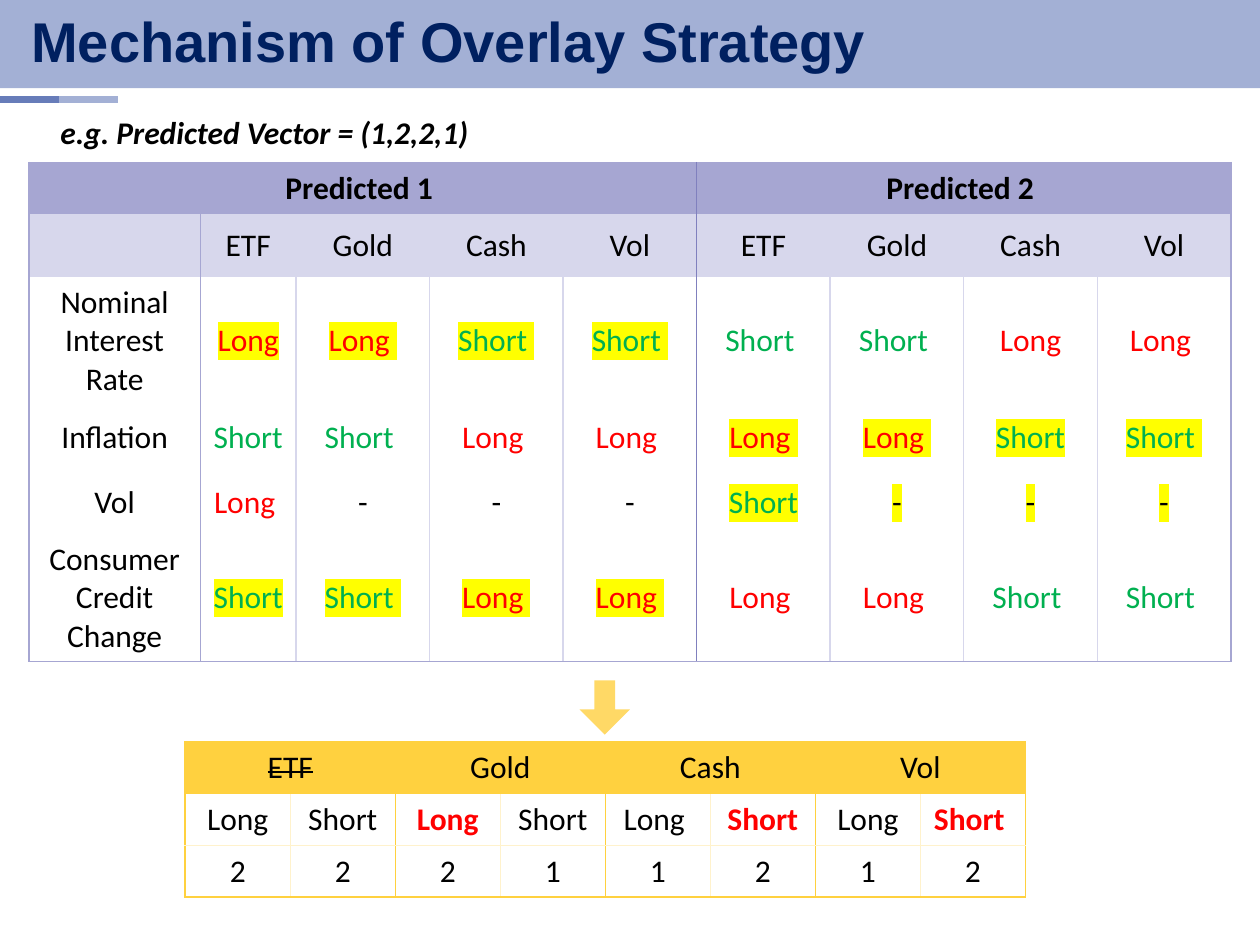
from lxml import etree
from pptx import Presentation
from pptx.dml.color import RGBColor
from pptx.enum.shapes import MSO_CONNECTOR, MSO_SHAPE
from pptx.enum.text import MSO_ANCHOR, PP_ALIGN
from pptx.oxml.ns import qn
from pptx.util import Inches, Pt

BAND = RGBColor(0xA3, 0xB0, 0xD5)
ACCENT = RGBColor(0x67, 0x7C, 0xB9)
NAVY = RGBColor(0x00, 0x20, 0x60)
BLACK = RGBColor(0x00, 0x00, 0x00)
RED = RGBColor(0xFF, 0x00, 0x00)
GREEN = RGBColor(0x00, 0xB0, 0x50)
YELLOW = RGBColor(0xFF, 0xFF, 0x00)
LILAC = RGBColor(0xA6, 0xA6, 0xD2)
PALE_LILAC = RGBColor(0xD7, 0xD7, 0xEC)
VIOLET = RGBColor(0x80, 0x80, 0xBE)
GOLD = RGBColor(0xFF, 0xD1, 0x3F)
PALE_GOLD = RGBColor(0xFF, 0xF2, 0xCC)
ARROW_GOLD = RGBColor(0xFF, 0xD9, 0x66)
NO_GRID = "{2D5ABB26-0587-4C30-8999-92F81FD0307C}"


def style_cell(cell, borders, fill=None):
    """Draw 1 pt borders, given by side in the order L, R, T, B, then the fill."""
    tcPr = cell._tc.get_or_add_tcPr()
    for side, color in borders.items():
        ln = etree.SubElement(tcPr, qn("a:ln" + side), w=str(Pt(1)))
        sf = etree.SubElement(ln, qn("a:solidFill"))
        etree.SubElement(sf, qn("a:srgbClr"), val=str(color))
    if fill is None:
        cell.fill.background()
    else:
        cell.fill.solid()
        cell.fill.fore_color.rgb = fill


def write(cell, text, color=BLACK, bold=False, highlight=None):
    """Put centred text in a cell and return its run."""
    cell.vertical_anchor = MSO_ANCHOR.MIDDLE
    p = cell.text_frame.paragraphs[0]
    p.alignment = PP_ALIGN.CENTER
    r = p.add_run()
    r.text = text
    r.font.size, r.font.name, r.font.bold = Pt(18), "Calibri", bold
    r.font.color.rgb = color
    if highlight is not None:
        mark = etree.Element(qn("a:highlight"))
        etree.SubElement(mark, qn("a:srgbClr"), val=str(highlight))
        r.font._element.find(qn("a:solidFill")).addnext(mark)
    return r


prs = Presentation()
prs.slide_width, prs.slide_height = Inches(10), Inches(7.5)
s = prs.slides.add_slide(prs.slide_layouts[6])

# Title band, and the arrow between the tables
for shape, box, color in [
    (MSO_SHAPE.RECTANGLE, (0, 0, 10, 0.7), BAND),
    (MSO_SHAPE.DOWN_ARROW, (4.6, 5.4, 0.4, 0.43), ARROW_GOLD),
]:
    sp = s.shapes.add_shape(shape, *map(Inches, box))
    sp.shadow.inherit = False
    sp.fill.solid()
    sp.fill.fore_color.rgb = color
    sp.line.fill.background()
sp.adjustments[0] = 0.41

# Short rules below the band
for x, color in [(0, ACCENT), (0.47, BAND)]:
    rule = s.shapes.add_connector(
        MSO_CONNECTOR.STRAIGHT, Inches(x), Inches(0.79), Inches(x + 0.47), Inches(0.79))
    rule.line.color.rgb = color
    rule.line.width = Pt(4.5)
    etree.SubElement(rule._element.spPr, qn("a:effectLst"))

# Title and example line
for text, box, inset, anchor, size, font, color, italic in [
    ("Mechanism of Overlay Strategy", (0.15, 0.09, 9.7, 0.53), 0.1,
     MSO_ANCHOR.MIDDLE, 32, "Arial", NAVY, False),
    ("e.g. Predicted Vector = (1,2,2,1)", (0.48, 0.9, 4.11, 0.4), 0,
     MSO_ANCHOR.TOP, 18, "Calibri", BLACK, True),
]:
    tf = s.shapes.add_textbox(*map(Inches, box)).text_frame
    tf.word_wrap = True
    tf.vertical_anchor = anchor
    tf.margin_left = tf.margin_right = Inches(inset)
    tf.margin_top = tf.margin_bottom = 0
    p = tf.paragraphs[0]
    p.text = text
    if size == 32:
        p.line_spacing = 0.9
    f = p.runs[0].font
    f.size, f.name, f.bold, f.italic = Pt(size), font, True, italic
    f.color.rgb = color

# Both tables: position, column widths, row heights
tables = []
for left, top, widths, heights in [
    (0.23, 1.29, [1.36, 0.76] + [1.06] * 7, [0.41, 0.5, 1.01, 0.53, 0.5, 1.01]),
    (1.47, 5.89, [6.67 / 8] * 8, [0.41] * 3),
]:
    tbl = s.shapes.add_table(
        len(heights), len(widths), Inches(left), Inches(top),
        Inches(sum(widths)), Inches(sum(heights))).table
    tbl._tbl.tblPr.find(qn("a:tableStyleId")).text = NO_GRID
    tbl.first_row = tbl.horz_banding = False
    for col, w in zip(tbl.columns, widths):
        col.width = Inches(w)
    for row, h in zip(tbl.rows, heights):
        row.height = Inches(h)
    tables.append(tbl)
signals, votes = tables

# Signal table: borders and fills
ASSETS = ["ETF", "Gold", "Cash", "Vol"]
edges = [LILAC, LILAC] + [PALE_LILAC] * 3 + [VIOLET] + [PALE_LILAC] * 3 + [LILAC]
for first, last, text in [(0, 4, "Predicted 1 "), (5, 8, "Predicted 2 ")]:
    signals.cell(0, first).merge(signals.cell(0, last))
    write(signals.cell(0, first), text, bold=True)
    for c in range(first, last + 1):
        borders = {"L": edges[first], "R": edges[last + 1], "T": LILAC}
        style_cell(signals.cell(0, c), borders, LILAC)
for r in range(1, 6):
    for c in range(9):
        borders = {"L": edges[c], "R": edges[c + 1]}
        if r == 5:
            borders["B"] = LILAC
        style_cell(signals.cell(r, c), borders, PALE_LILAC if r == 1 else None)
for c, asset in enumerate(ASSETS * 2, 1):
    write(signals.cell(1, c), asset)

# Signal table: a row's chosen half is highlighted
SIGNAL_COLORS = {"Long": RED, "Short": GREEN, "-": BLACK}
SIGNAL_ROWS = [
    ("Nominal Interest Rate", 1,
     ["Long", "Long ", "Short ", "Short ", "Short ", "Short ", "Long", "Long "]),
    ("Inflation", 2,
     ["Short", "Short ", "Long ", "Long ", "Long ", "Long ", "Short", "Short "]),
    ("Vol", 2, ["Long ", "-", "-", "-", "Short", "-", "-", "-"]),
    ("Consumer Credit Change", 1,
     ["Short ", "Short ", "Long ", "Long ", "Long ", "Long ", "Short ", "Short "]),
]
for r, (factor, predicted, values) in enumerate(SIGNAL_ROWS, 2):
    write(signals.cell(r, 0), factor)
    for c, value in enumerate(values, 1):
        chosen = (c <= 4) == (predicted == 1)
        write(signals.cell(r, c), value, SIGNAL_COLORS[value.strip()],
              highlight=YELLOW if chosen else None)

# Vote table: one pair of columns per asset, the winner in bold red, a tie struck out
SIDES = ["Long", "Short", "Long", "Short", "Long ", "Short", "Long", "Short "]
COUNTS = [2, 2, 2, 1, 1, 2, 1, 2]
for i, asset in enumerate(ASSETS):
    votes.cell(0, 2 * i).merge(votes.cell(0, 2 * i + 1))
    run = write(votes.cell(0, 2 * i), asset)
    if COUNTS[2 * i] == COUNTS[2 * i + 1]:
        run.font._element.set("strike", "sngStrike")
for c, (side, count) in enumerate(zip(SIDES, COUNTS)):
    wins = count > COUNTS[c ^ 1]
    write(votes.cell(1, c), side, RED if wins else BLACK, bold=wins)
    write(votes.cell(2, c), str(count))
    left, right = (GOLD, PALE_GOLD) if c % 2 == 0 else (PALE_GOLD, GOLD)
    style_cell(votes.cell(0, c), {"L": GOLD, "R": GOLD, "T": GOLD}, GOLD)
    style_cell(votes.cell(1, c), {"L": left, "R": right, "B": PALE_GOLD})
    style_cell(votes.cell(2, c), {"L": left, "R": right, "T": PALE_GOLD, "B": GOLD})

prs.save("out.pptx")
